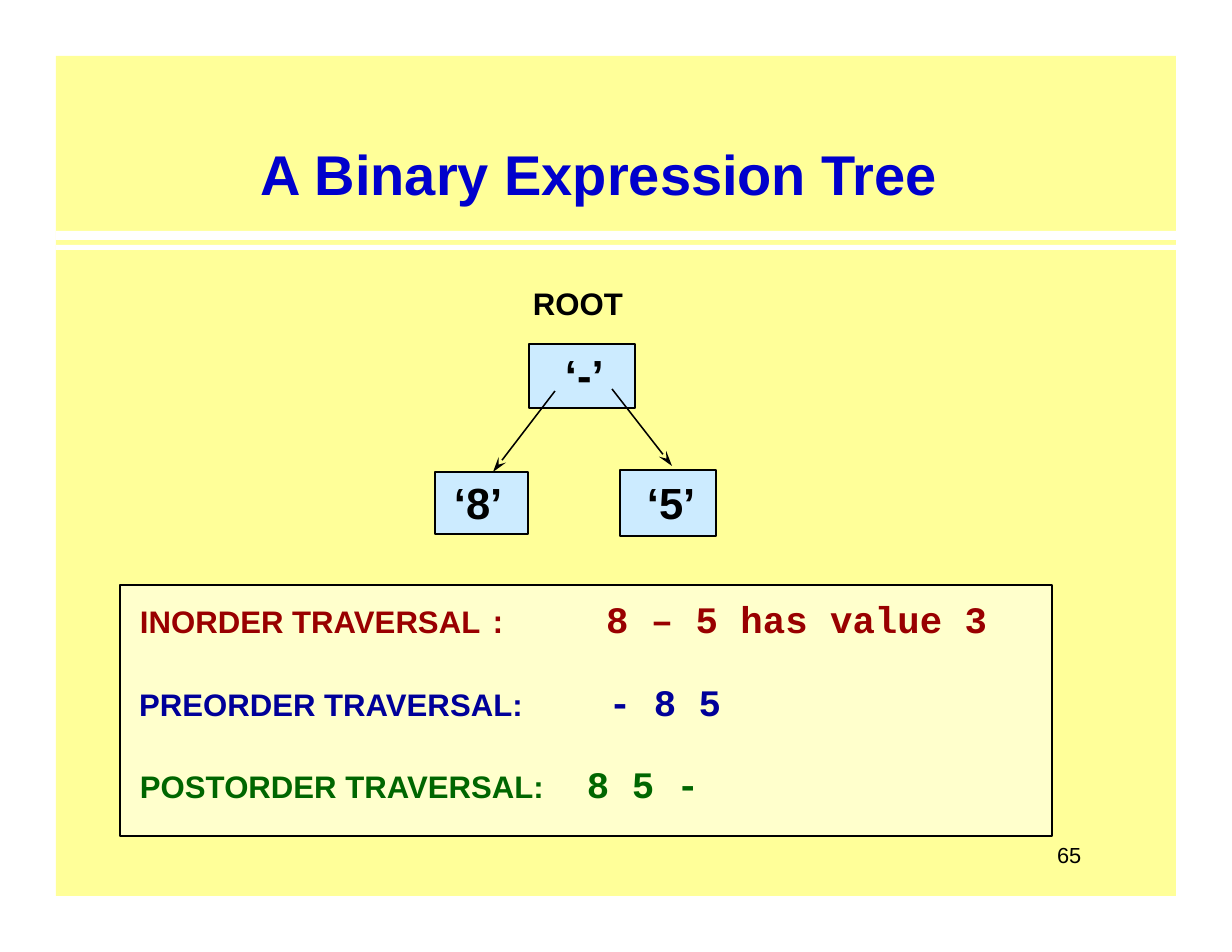
from lxml import etree
from pptx import Presentation
from pptx.dml.color import RGBColor
from pptx.enum.shapes import MSO_CONNECTOR as Link, MSO_SHAPE as Shape
from pptx.enum.text import MSO_ANCHOR as Anchor, MSO_AUTO_SIZE as Fit, PP_ALIGN as Align
from pptx.oxml.ns import qn
from pptx.util import Pt

SCALE = 914400 / 112
SANS, MONO = "Arial", "Courier New"
BLACK, WHITE = "000000", "FFFFFF"
HEAD = dict(name=SANS, size=Pt(36), bold=True)
NODE = dict(name=SANS, size=Pt(28), bold=True)
LABEL = dict(name=SANS, size=Pt(20), bold=True)
VALUE = dict(name=MONO, size=Pt(24), bold=True)
COLON = dict(name=MONO, size=Pt(20), bold=True)
PAGE = dict(name=SANS, size=Pt(14), bold=False)


def px(n):
    return round(n * SCALE)


def paint(target, color):
    """Give a fill, or a font's or line's fill, one solid colour."""
    target.solid()
    target.fore_color.rgb = RGBColor.from_string(color)


def add_rect(slide, box, fill, line=None):
    rect = slide.shapes.add_shape(Shape.RECTANGLE, *map(px, box))
    rect.shadow.inherit = False
    paint(rect.fill, fill)
    if line:
        paint(rect.line.fill, line)
        rect.line.width = Pt(1)
    else:
        rect.line.fill.background()


def add_arrow(slide, start, end):
    arrow = slide.shapes.add_connector(Link.STRAIGHT, *map(px, start + end))
    paint(arrow.line.fill, BLACK)
    arrow.line.width = Pt(1)
    etree.SubElement(arrow.line._get_or_add_ln(), qn("a:tailEnd"),
                     type="stealth", w="med", len="lg")
    etree.SubElement(arrow._element.spPr, qn("a:effectLst"))


def set_frame(shape, top=1):
    frame = shape.text_frame
    form = dict(margin_left=px(1), margin_right=0, margin_top=px(top),
                margin_bottom=0, word_wrap=True, auto_size=Fit.NONE,
                vertical_anchor=Anchor.TOP)
    for key, value in form.items():
        setattr(frame, key, value)
    return frame


def add_runs(para, color, runs):
    para.alignment = Align.LEFT
    for text, form in runs:
        run = para.add_run()
        run.text = text
        for key, value in form.items():
            setattr(run.font, key, value)
        paint(run.font.fill, color)


def add_text(slide, box, color, *runs, top=1):
    """Add a text box and return its first paragraph and its frame."""
    frame = set_frame(slide.shapes.add_textbox(*map(px, box)), top)
    para = frame.paragraphs[0]
    add_runs(para, color, runs)
    return para, frame


def set_title(slide, box, text, color):
    title = slide.shapes.title
    for key, value in zip(("left", "top", "width", "height"), box):
        setattr(title, key, px(value))
    add_runs(set_frame(title).paragraphs[0], color, [(text, HEAD)])
    slide.shapes._spTree.append(title._element)  # above the backdrop


def set_tab(para, pos):
    tabs = etree.SubElement(para._p.get_or_add_pPr(), qn("a:tabLst"))
    etree.SubElement(tabs, qn("a:tab"), pos=str(px(pos)), algn="l")


def add_tree(slide):
    for box in ((529, 344, 106, 64), (435, 472, 93, 62), (620, 470, 96, 66)):
        add_rect(slide, box, "CCEBFF", BLACK)
    add_arrow(slide, (555, 391), (493, 472))
    add_arrow(slide, (612, 389), (672, 466))
    for left, text in ((453, "‘8’"), (646, "‘5’")):
        add_text(slide, (left, 475, 54, 56), BLACK, (text, NODE))
    _, frame = add_text(slide, (532, 264, 95, 139), BLACK, ("ROOT", LABEL), top=20)
    root = frame.add_paragraph()
    root.space_before = Pt(17.4)
    root._p.get_or_add_pPr().set("marL", str(px(32)))
    add_runs(root, BLACK, [("‘-’", NODE)])


def add_orders(slide):
    red, blue, green = "990000", "000099", "006600"
    add_rect(slide, (120, 585, 932, 251), "FFFFCC", BLACK)
    add_text(slide, (139, 601, 412, 40), red,
             ("INORDER TRAVERSAL ", LABEL), (":", COLON))
    add_text(slide, (605, 595, 405, 47), red, ("8 – 5 has value 3", VALUE))
    add_text(slide, (138, 684, 403, 40), blue, ("PREORDER TRAVERSAL:", LABEL))
    add_text(slide, (608, 678, 118, 47), blue, ("- 8 5", VALUE))
    post, _ = add_text(slide, (139, 760, 581, 48), green,
                       ("POSTORDER TRAVERSAL:\t", LABEL), ("8 5 -", VALUE))
    set_tab(post, 447)


def main():
    deck = Presentation()
    deck.slide_width, deck.slide_height = px(1232), px(952)
    slide = deck.slides.add_slide(deck.slide_layouts[5])
    add_rect(slide, (56, 56, 1120, 840), "FFFF99")
    for top, height in ((231, 9), (245, 5)):
        add_rect(slide, (56, top, 1120, height), WHITE)
    set_title(slide, (260, 138, 684, 71), "A Binary Expression Tree", "0000CC")
    add_tree(slide)
    add_orders(slide)
    page, _ = add_text(slide, (1056, 837, 34, 27), BLACK, ("65", PAGE), top=0)
    page.line_spacing = 1.17
    deck.save("out.pptx")


if __name__ == "__main__":
    main()
